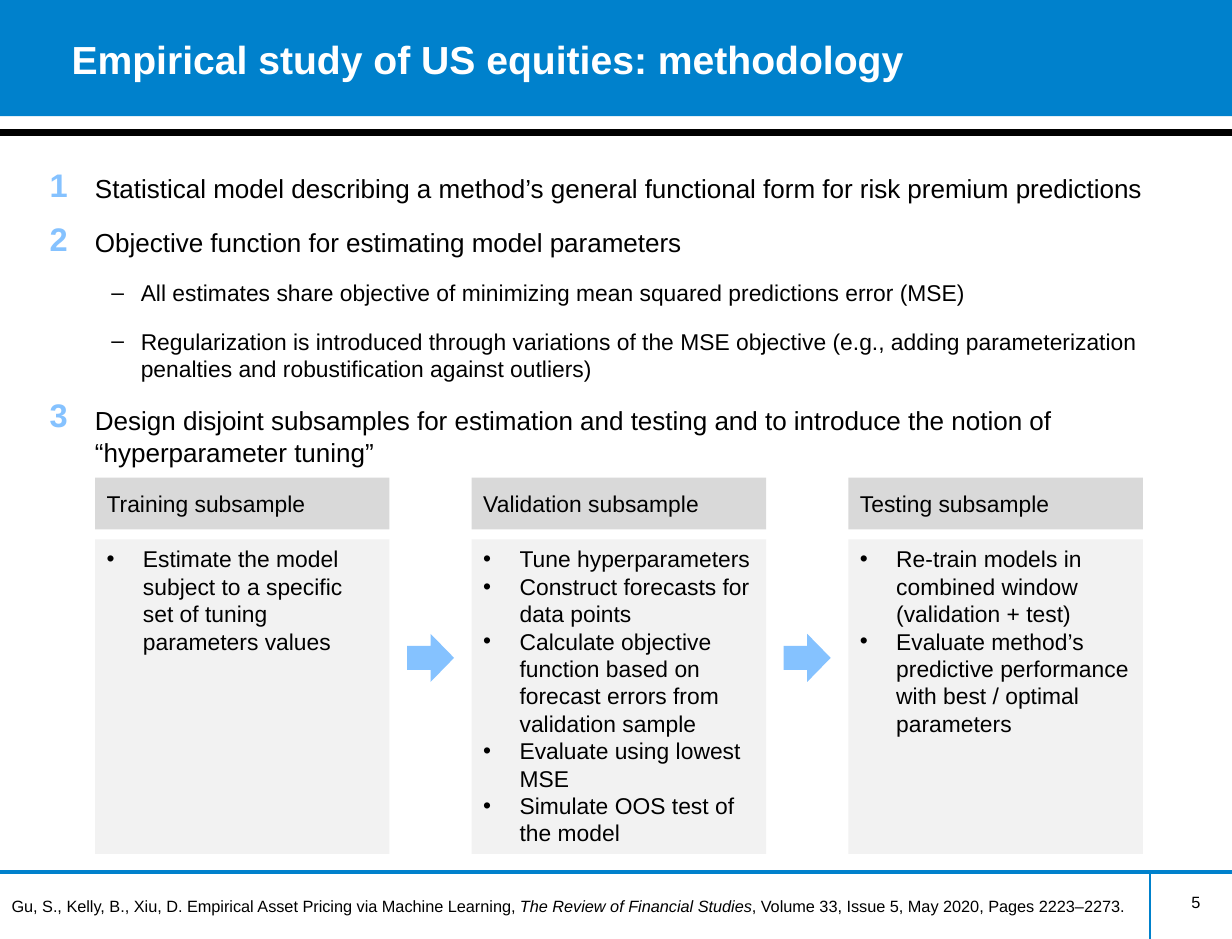
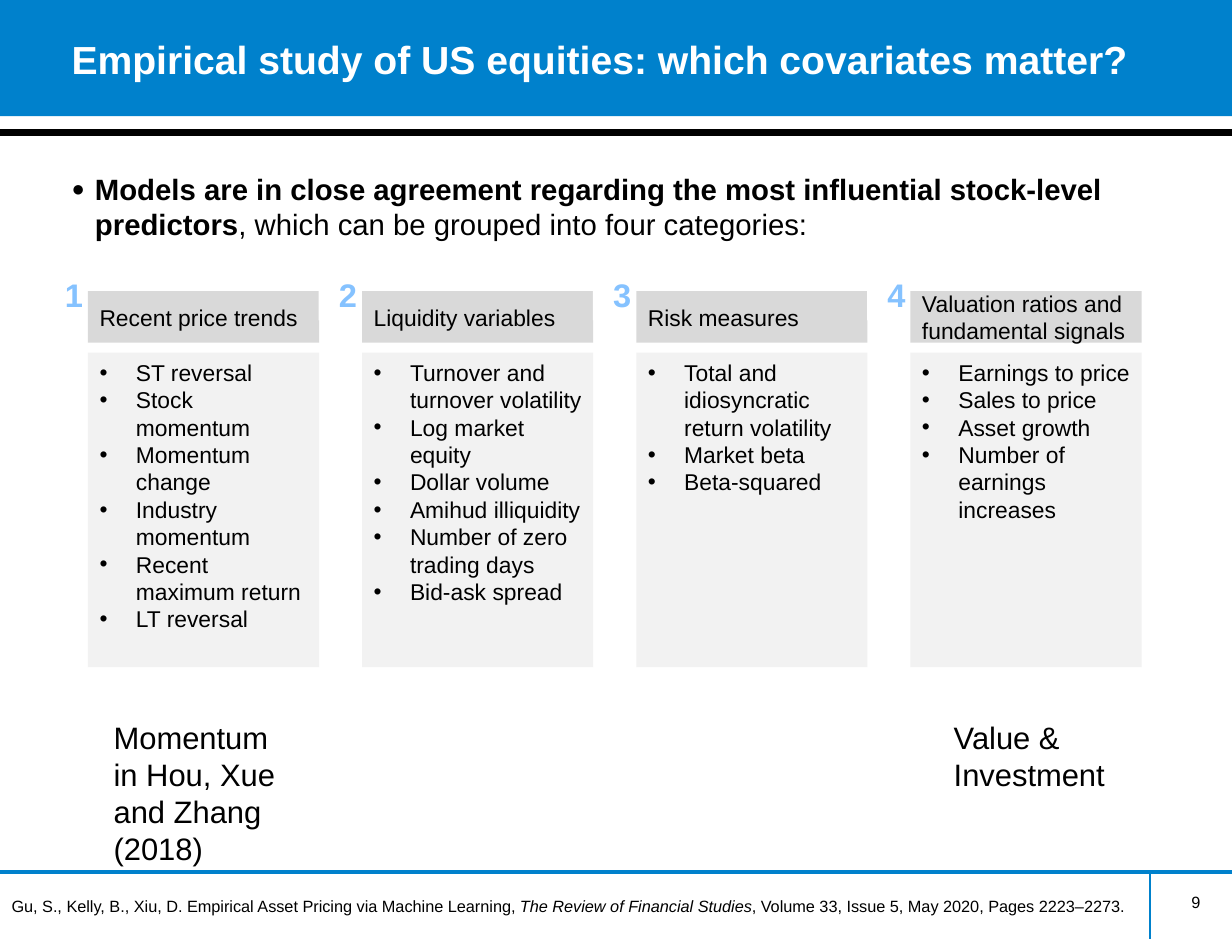
from lxml import etree
from pptx import Presentation
from pptx.dml.color import RGBColor
from pptx.enum import shapes, text
from pptx.oxml import ns
from pptx.util import Inches, Pt

FONT = "Arial"
BLUE, LIGHT_BLUE = "0081CC", "85C2FF"
BLACK, WHITE = "000000", "FFFFFF"
HEADER_GRAY, BODY_GRAY = "D9D9D9", "F2F2F2"
RECTANGLE = shapes.MSO_SHAPE.RECTANGLE
ARROW = shapes.MSO_SHAPE.RIGHT_ARROW
MIDDLE = text.MSO_ANCHOR.MIDDLE
TOP = text.MSO_ANCHOR.TOP
CENTER, LEFT, RIGHT = text.PP_ALIGN.CENTER, text.PP_ALIGN.LEFT, text.PP_ALIGN.RIGHT
CARD_HEADER_HEIGHT, CARD_BODY_HEIGHT, CARD_BODY_OFFSET = 0.44, 2.68, 0.525
CITATION = [
    ("Gu, S., Kelly, B., Xiu, D. Empirical Asset Pricing via Machine Learning, ", {}),
    ("The Review of Financial Studies", {"italic": True}),
    (", Volume 33, Issue 5, May 2020, Pages 2223–2273.", {}),
]


def color(value):
    return RGBColor.from_string(value)


def set_bullet(paragraph, character, percent=None):
    properties = paragraph._p.get_or_add_pPr()
    if percent:
        size = etree.SubElement(properties, ns.qn("a:buSzPct"))
        size.set("val", str(percent * 1000))
    etree.SubElement(properties, ns.qn("a:buFont")).set("typeface", FONT)
    etree.SubElement(properties, ns.qn("a:buChar")).set("char", character)


def add_text(frame, content, size=14, fill=BLACK, bold=False, align=LEFT, bullet=None,
             bullet_percent=None, margin=0, hanging=0, before=0, spacing=None):
    is_first = not frame.paragraphs[0].runs
    paragraph = frame.paragraphs[0] if is_first else frame.add_paragraph()
    properties = paragraph._p.get_or_add_pPr()
    properties.set("marL", str(Inches(margin)))
    properties.set("indent", str(-Inches(hanging)))
    if bullet:
        set_bullet(paragraph, bullet, bullet_percent)
    paragraph.alignment = align
    paragraph.space_before = Pt(0 if is_first else before)
    if spacing:
        paragraph.line_spacing = spacing
    for words, style in [(content, {})] if isinstance(content, str) else content:
        run = paragraph.add_run()
        run.text = words
        run.font.name = FONT
        run.font.size = Pt(size)
        run.font.color.rgb = color(fill)
        run.font.bold = style.get("bold", bold)
        run.font.italic = style.get("italic", False)


class Deck:
    def __init__(self):
        self.presentation = Presentation()
        self.presentation.slide_width = Inches(10.5)
        self.presentation.slide_height = Inches(8)
        self.slide = None

    def start_slide(self, title, number):
        self.slide = self.presentation.slides.add_slide(self.presentation.slide_layouts[6])
        self.shape(0, 0, 10.5, 0.99, BLUE)
        self.line(0, 1.13, 10.5, 1.13, BLACK, 4)
        self.line(0, 7.43, 10.5, 7.43, BLUE, 2)
        self.line(9.8, 7.43, 9.8, 8, BLUE, 1)
        add_text(self.text_box(0.5, 0.05, 9.5, 0.9, MIDDLE, 0.11), title,
                 size=24, fill=WHITE, bold=True)
        add_text(self.text_box(7.89, 7.55, 2.45, 0.34, inset=0.11), str(number),
                 size=10, align=RIGHT)
        add_text(self.text_box(0, 7.59, 9.83, 0.27), CITATION, size=10)

    def prepare_frame(self, shape, anchor, inset):
        frame = shape.text_frame
        frame.word_wrap = True
        frame.vertical_anchor = anchor
        frame.margin_left = frame.margin_right = Inches(inset)
        frame.margin_top = frame.margin_bottom = Inches(0.05)
        return frame

    def shape(self, left, top, width, height, fill, kind=RECTANGLE, anchor=MIDDLE):
        shape = self.slide.shapes.add_shape(
            kind, Inches(left), Inches(top), Inches(width), Inches(height))
        shape.shadow.inherit = False
        shape.fill.solid()
        shape.fill.fore_color.rgb = color(fill)
        shape.line.fill.background()
        return self.prepare_frame(shape, anchor, 0.1)

    def text_box(self, left, top, width, height, anchor=TOP, inset=0.1):
        box = self.slide.shapes.add_textbox(
            Inches(left), Inches(top), Inches(width), Inches(height))
        return self.prepare_frame(box, anchor, inset)

    def line(self, left, top, right, bottom, fill, width):
        connector = self.slide.shapes.add_connector(
            shapes.MSO_CONNECTOR.STRAIGHT,
            Inches(left), Inches(top), Inches(right), Inches(bottom))
        connector.line.color.rgb = color(fill)
        connector.line.width = Pt(width)
        etree.SubElement(connector._element.spPr, ns.qn("a:effectLst"))

    def body(self):
        return self.text_box(0.5, 1.41, 9.5, 5.74, inset=0.11)

    def number(self, left, top, value):
        add_text(self.shape(left, top, 0.5, 0.44, WHITE), str(value),
                 size=20, fill=LIGHT_BLUE, bold=True, align=CENTER)

    def card(self, left, top, width, heading, points):
        add_text(self.shape(left, top, width, CARD_HEADER_HEIGHT, HEADER_GRAY), heading)
        frame = self.shape(left, top + CARD_BODY_OFFSET, width, CARD_BODY_HEIGHT,
                           BODY_GRAY, anchor=TOP)
        for point in points:
            add_text(frame, point, bullet="•", margin=0.31, hanging=0.31)


def build_methodology(deck):
    deck.start_slide("Empirical study of US equities: methodology", 5)
    body = deck.body()
    step = {"size": 16, "margin": 0.2, "before": 12.6, "spacing": 1.05}
    detail = {"size": 14, "margin": 0.59, "hanging": 0.25, "before": 13, "bullet": "–"}
    for content, style in [
        ("Statistical model describing a method’s general functional form for risk "
         "premium predictions", step),
        ("Objective function for estimating model parameters", step),
        ("All estimates share objective of minimizing mean squared predictions "
         "error (MSE)", detail),
        ("Regularization is introduced through variations of the MSE objective (e.g., "
         "adding parameterization penalties and robustification against outliers)", detail),
        ("Design disjoint subsamples for estimation and testing and to introduce the "
         "notion of “hyperparameter tuning”", step),
    ]:
        add_text(body, content, **style)
    for value, top in enumerate((1.35, 1.81, 3.31), 1):
        deck.number(0.25, top, value)

    subsamples = [
        ("Training subsample",
         ["Estimate the model subject to a specific set of tuning parameters values"]),
        ("Validation subsample",
         ["Tune hyperparameters", "Construct forecasts for data points",
          "Calculate objective function based on forecast errors from validation sample",
          "Evaluate using lowest MSE", "Simulate OOS test of the model"]),
        ("Testing subsample",
         ["Re-train models in combined window (validation + test)",
          "Evaluate method’s predictive performance with best / optimal parameters"]),
    ]
    pitch = 3.21
    for index, (heading, points) in enumerate(subsamples):
        left = 0.81 + index * pitch
        deck.card(left, 4.07, 2.51, heading, points)
        if index:
            deck.shape(left - 0.55, 5.4, 0.4, 0.41, LIGHT_BLUE, ARROW)


def build_covariates(deck):
    deck.start_slide("Empirical study of US equities: which covariates matter?", 9)
    add_text(deck.body(), [
        ("Models are in close agreement regarding the most influential stock-level "
         "predictors", {"bold": True}),
        (", which can be grouped into four categories:", {}),
    ], size=18, bullet="●", bullet_percent=75, margin=0.2, hanging=0.2)

    categories = [
        ("Recent price trends",
         ["ST reversal", "Stock momentum", "Momentum change", "Industry momentum",
          "Recent maximum return", "LT reversal"]),
        ("Liquidity variables",
         ["Turnover and turnover volatility", "Log market equity", "Dollar volume",
          "Amihud illiquidity", "Number of zero trading days", "Bid-ask spread"]),
        ("Risk measures",
         ["Total and idiosyncratic return volatility", "Market beta", "Beta-squared"]),
        ("Valuation ratios and fundamental signals",
         ["Earnings to price", "Sales to price", "Asset growth",
          "Number of earnings increases"]),
    ]
    first, last = 0.75, 7.76
    pitch = (last - first) / (len(categories) - 1)
    for index, (heading, points) in enumerate(categories):
        left = first + index * pitch
        deck.number(left - 0.37, 2.29, index + 1)
        deck.card(left, 2.48, 1.97, heading, points)

    for left, height, remark in [
        (0.87, 1.38, "Momentum in Hou, Xue and Zhang (2018)"),
        (8.03, 0.74, "Value & Investment"),
    ]:
        add_text(deck.text_box(left, 6.07, 1.69, height), remark, size=19)


def main():
    deck = Deck()
    build_methodology(deck)
    build_covariates(deck)
    deck.presentation.save("out.pptx")


if __name__ == "__main__":
    main()
